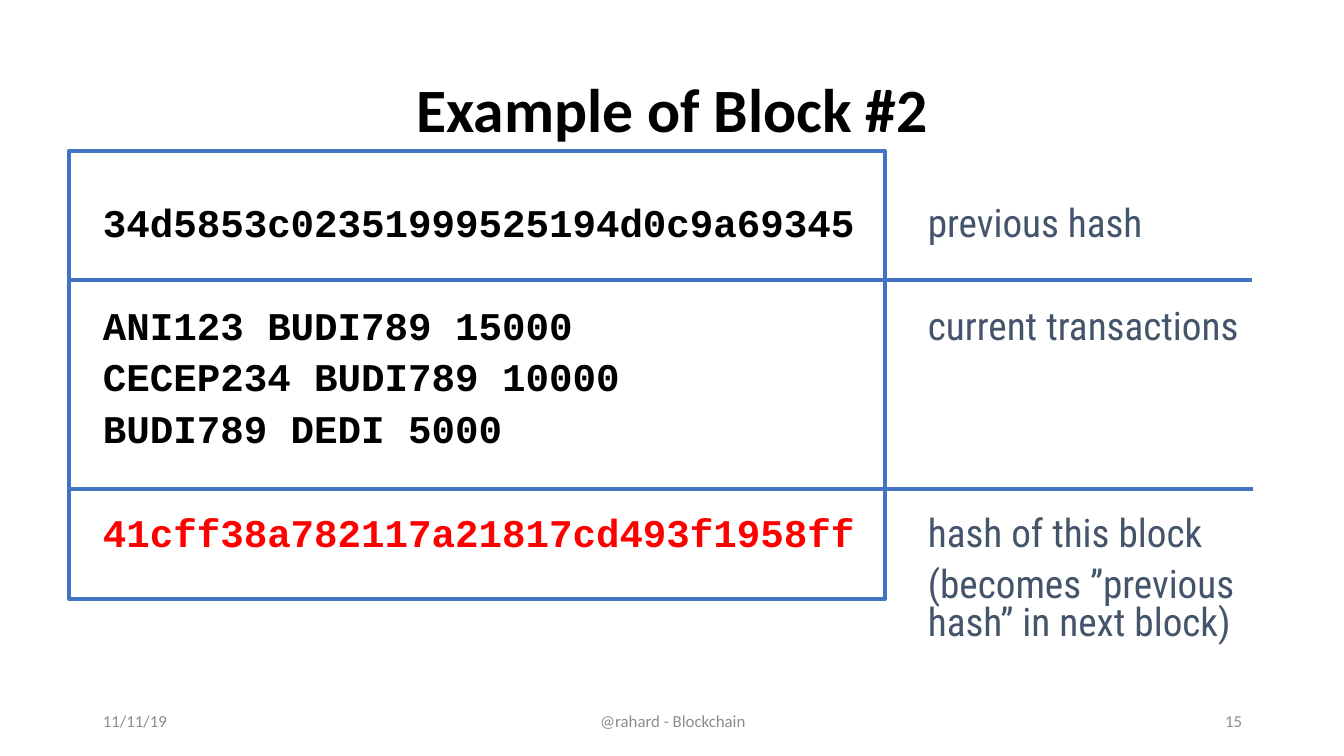
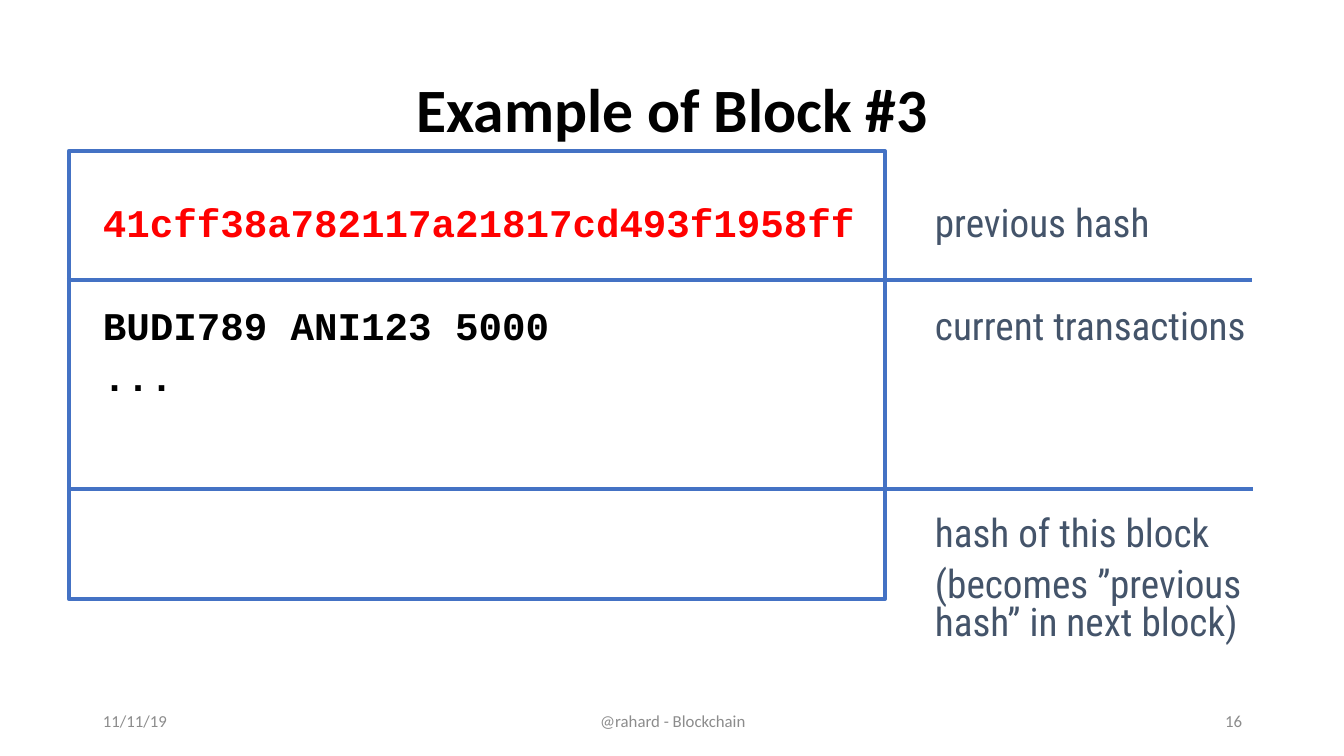
from dataclasses import dataclass

import pptx
import pptx.dml.color
import pptx.enum.shapes
import pptx.enum.text
import pptx.oxml.ns
import pptx.util
from lxml import etree
from pptx.shapes.base import BaseShape
from pptx.slide import Slide

EMU_PER_PX = 914400 / 100.8
SLIDE_WIDTH, SLIDE_HEIGHT = 1344, 756

BLACK = "000000"
RED = "FF0000"
BLUE = "4472C4"
SLATE = "44546A"
GRAY = "8C8C8C"

LEFT = pptx.enum.text.PP_ALIGN.LEFT
CENTER = pptx.enum.text.PP_ALIGN.CENTER
RIGHT = pptx.enum.text.PP_ALIGN.RIGHT
TOP = pptx.enum.text.MSO_ANCHOR.TOP
MIDDLE = pptx.enum.text.MSO_ANCHOR.MIDDLE


@dataclass(frozen=True)
class Box:
    left: int
    top: int
    width: int
    height: int


@dataclass(frozen=True)
class TextStyle:
    font: str
    size: int
    color: str
    bold: bool = False
    align: int = LEFT
    anchor: int = TOP
    line_spacing: float = 1.0
    space_before: int = 0


@dataclass(frozen=True)
class Section:
    top: int
    height: int
    labels: tuple[str, ...]


@dataclass(frozen=True)
class Divider:
    start: int
    end: int
    y: int


@dataclass(frozen=True)
class Entry:
    lines: tuple[str, ...]
    color: str = BLACK


@dataclass(frozen=True)
class BlockSlide:
    title: str
    page: str
    labels_left: int
    labels_width: int
    entries: tuple[Entry, ...]


TITLE_BOX = Box(93, 40, 1159, 146)
TITLE_STYLE = TextStyle("Calibri", 44, BLACK, True, CENTER, MIDDLE, 0.9)

BLOCK_FRAME = Box(69, 151, 816, 448)
DIVIDERS = (Divider(67, 1252, 280), Divider(69, 1253, 489))
RULE_WIDTH = 3
ENTRY_LEFT, ENTRY_WIDTH = 93, 792

SECTIONS = (
    Section(202, 60, ("previous hash",)),
    Section(305, 165, ("current transactions",)),
    Section(512, 150, ("hash of this block", "(becomes ”previous hash” in next block)")),
)
LABEL_STYLE = TextStyle("Roboto Condensed", 28, SLATE, line_spacing=0.8, space_before=10)

FOOTER_TOP, FOOTER_HEIGHT = 701, 40
DATE = "11/11/19"
FOOTER = "@rahard - Blockchain"

BLOCK_2_HASH = Entry(("41cff38a782117a21817cd493f1958ff",), RED)
BLOCK_SLIDES = (
    BlockSlide(
        "Example of Block #2", "15", 918, 334,
        (
            Entry(("34d5853c02351999525194d0c9a69345",)),
            Entry(("ANI123 BUDI789 15000", "CECEP234 BUDI789 10000", "BUDI789 DEDI 5000")),
            BLOCK_2_HASH,
        ),
    ),
    BlockSlide(
        "Example of Block #3", "16", 925, 361,
        (BLOCK_2_HASH, Entry(("BUDI789 ANI123 5000", "..."))),
    ),
)


def px(length: int) -> pptx.util.Emu:
    return pptx.util.Emu(round(length * EMU_PER_PX))


def rgb(color: str) -> pptx.dml.color.RGBColor:
    return pptx.dml.color.RGBColor.from_string(color)


def add_text(slide: Slide, box: Box, lines: tuple[str, ...], style: TextStyle) -> None:
    frame = slide.shapes.add_textbox(
        px(box.left), px(box.top), px(box.width), px(box.height)
    ).text_frame
    frame.word_wrap = True
    frame.vertical_anchor = style.anchor
    frame.text = "\n".join(lines)
    for paragraph in frame.paragraphs:
        paragraph.alignment = style.align
        paragraph.line_spacing = style.line_spacing
        paragraph.space_before = pptx.util.Pt(style.space_before)
        paragraph.font.name = style.font
        paragraph.font.size = pptx.util.Pt(style.size)
        paragraph.font.bold = style.bold
        paragraph.font.color.rgb = rgb(style.color)


def style_rule(shape: BaseShape) -> None:
    """Give a frame or divider the shared blue outline."""
    shape.line.color.rgb = rgb(BLUE)
    shape.line.width = pptx.util.Pt(RULE_WIDTH)


def add_block_frame(slide: Slide) -> None:
    frame = slide.shapes.add_shape(
        pptx.enum.shapes.MSO_SHAPE.RECTANGLE,
        px(BLOCK_FRAME.left), px(BLOCK_FRAME.top),
        px(BLOCK_FRAME.width), px(BLOCK_FRAME.height),
    )
    frame.shadow.inherit = False
    frame.fill.background()
    style_rule(frame)


def add_divider(slide: Slide, divider: Divider) -> None:
    rule = slide.shapes.add_connector(
        pptx.enum.shapes.MSO_CONNECTOR.STRAIGHT,
        px(divider.start), px(divider.y), px(divider.end), px(divider.y),
    )
    style_rule(rule)
    etree.SubElement(rule._element.spPr, pptx.oxml.ns.qn("a:effectLst"))


def add_footer(slide: Slide, page: str) -> None:
    for left, width, text, align in (
        (93, 302, DATE, LEFT),
        (446, 454, FOOTER, CENTER),
        (950, 302, page, RIGHT),
    ):
        style = TextStyle("Calibri", 12, GRAY, align=align, anchor=MIDDLE)
        add_text(slide, Box(left, FOOTER_TOP, width, FOOTER_HEIGHT), (text,), style)


def add_block_slide(deck: pptx.presentation.Presentation, block: BlockSlide) -> None:
    slide = deck.slides.add_slide(deck.slide_layouts[6])
    add_text(slide, TITLE_BOX, (block.title,), TITLE_STYLE)
    add_block_frame(slide)
    for divider in DIVIDERS:
        add_divider(slide, divider)
    for section, entry in zip(SECTIONS, block.entries):
        style = TextStyle(
            "Courier New", 28, entry.color, True, line_spacing=0.8, space_before=10
        )
        entry_box = Box(ENTRY_LEFT, section.top, ENTRY_WIDTH, section.height)
        add_text(slide, entry_box, entry.lines, style)
    for section in SECTIONS:
        label_box = Box(block.labels_left, section.top, block.labels_width, section.height)
        add_text(slide, label_box, section.labels, LABEL_STYLE)
    add_footer(slide, block.page)


def main() -> None:
    deck = pptx.Presentation()
    deck.slide_width = px(SLIDE_WIDTH)
    deck.slide_height = px(SLIDE_HEIGHT)
    for block in BLOCK_SLIDES:
        add_block_slide(deck, block)
    deck.save("out.pptx")


if __name__ == "__main__":
    main()
